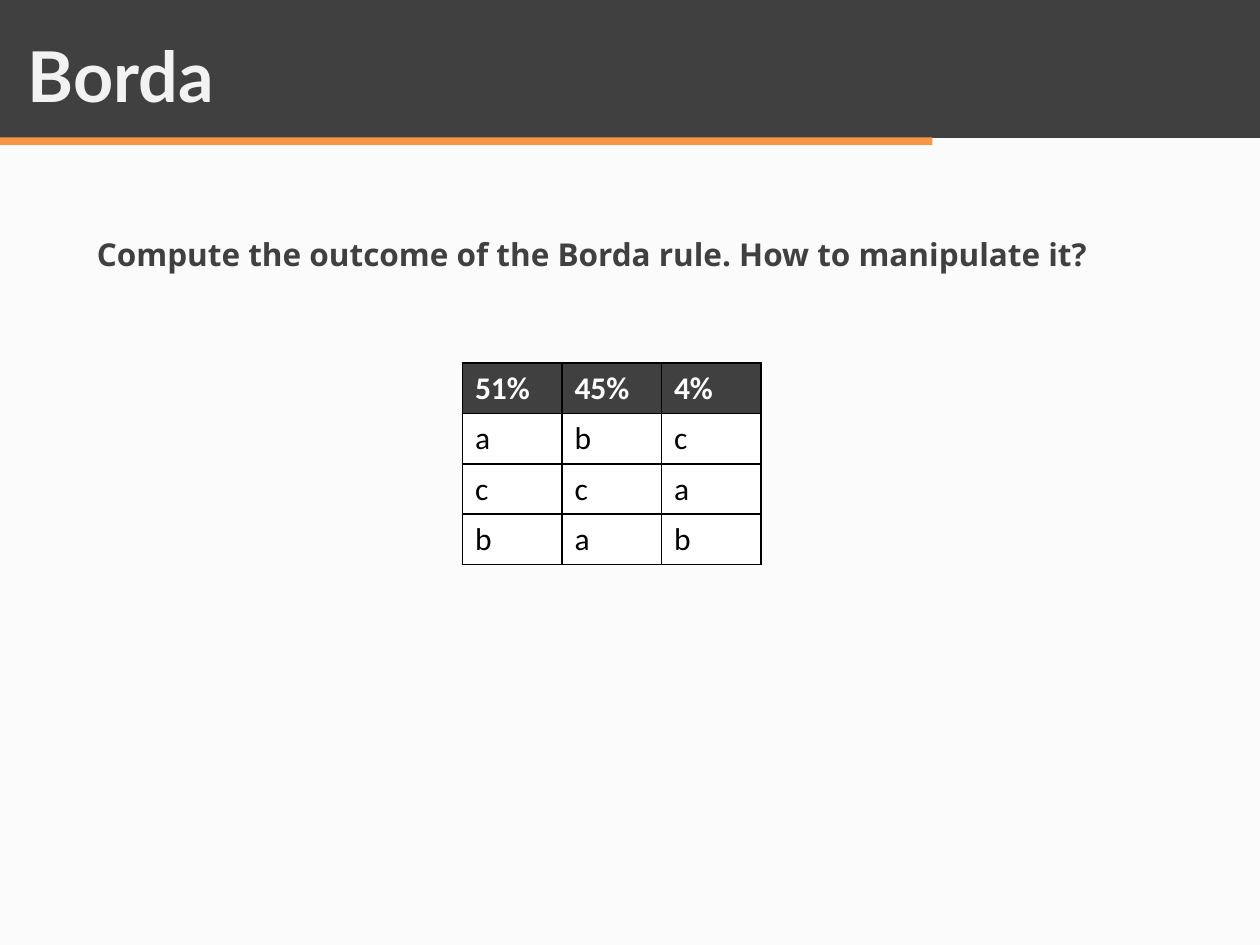
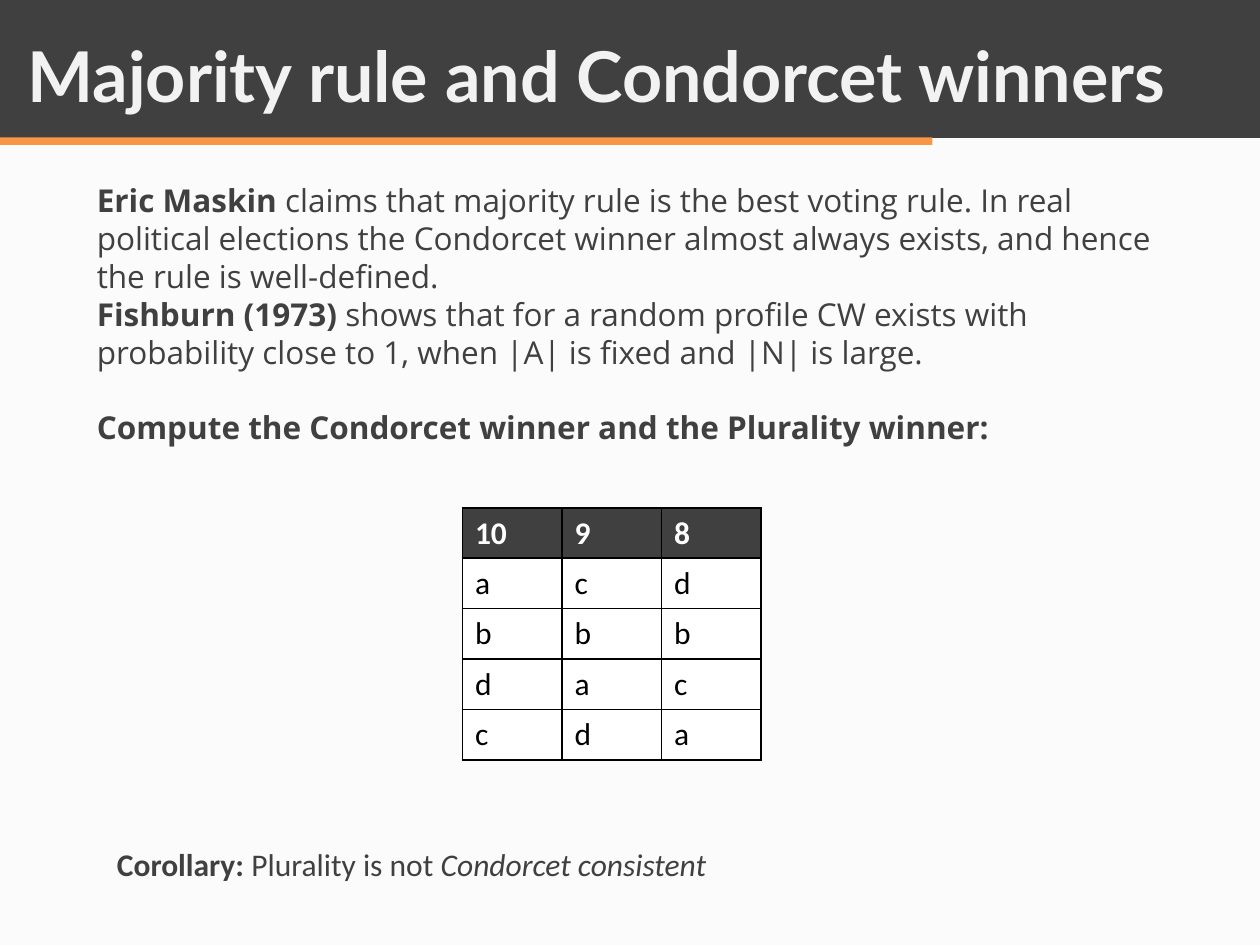
"""Two slides on voting rules, each with a preference profile table."""
from dataclasses import dataclass

from lxml.etree import SubElement
from pptx import Presentation
from pptx.dml.color import RGBColor
from pptx.enum.shapes import MSO_SHAPE
from pptx.oxml.ns import qn
from pptx.util import Inches, Pt

CHARCOAL = RGBColor(0x40, 0x40, 0x40)
ORANGE = RGBColor(0xF7, 0x96, 0x46)
PALE = RGBColor(0xF2, 0xF2, 0xF2)
PAPER = RGBColor(0xFB, 0xFB, 0xFB)
WHITE = RGBColor(0xFF, 0xFF, 0xFF)
BLACK = RGBColor(0, 0, 0)

TITLE_FONT, BODY_FONT, TABLE_FONT = "Lato", "Open Sans", "Calibri"
TITLE_SIZE, BODY_SIZE = Pt(40), Pt(18)
TABLE_LEFT, COLUMN_WIDTH, ROW_HEIGHT = 3.67, 0.79, 0.4
BLANK_LINE = Pt(21.6)


@dataclass
class Span:
    """A stretch of text in one style."""
    text: str
    bold: bool = False
    italic: bool = False


@dataclass
class Para:
    """A paragraph and the gap above it."""
    spans: list[Span]
    gap: Pt = Pt(0)


@dataclass
class TextBlock:
    """A text box: left, top, width and height in inches, and its content."""
    place: tuple[float, float, float, float]
    paras: list[Para]
    font: str = BODY_FONT
    size: Pt = BODY_SIZE
    color: RGBColor = CHARCOAL
    wrap: bool = True


@dataclass
class Profile:
    """Voter groups, each with its ranking from best to worst."""
    top: float
    rankings: dict[str, str]


def style_run(run, font: str, size: Pt, color: RGBColor, bold: bool, italic: bool = False) -> None:
    """Set the font of one run."""
    run.font.name, run.font.size = font, size
    run.font.bold, run.font.italic = bold, italic
    run.font.color.rgb = color


def add_text(page, block: TextBlock) -> None:
    """Draw a text box with its styled spans."""
    box = page.shapes.add_textbox(*map(Inches, block.place))
    frame = box.text_frame
    frame.word_wrap = block.wrap
    for index, para in enumerate(block.paras):
        paragraph = frame.add_paragraph() if index else frame.paragraphs[0]
        paragraph.space_before = para.gap
        for span in para.spans:
            run = paragraph.add_run()
            run.text = span.text
            style_run(run, block.font, block.size, block.color, span.bold, span.italic)


def add_band(page, top: float, width: float, height: float, color: RGBColor):
    """Draw a plain band from the left edge and return it."""
    band = page.shapes.add_shape(
        MSO_SHAPE.RECTANGLE, 0, Inches(top), Inches(width), Inches(height))
    band.shadow.inherit = False
    band.fill.solid()
    band.fill.fore_color.rgb = color
    band.line.fill.background()
    return band


def add_page(deck, title: str):
    """Add a slide with background, header bands and title."""
    page = deck.slides.add_slide(deck.slide_layouts[6])
    page.background.fill.solid()
    page.background.fill.fore_color.rgb = PAPER
    header = add_band(page, 0, 10, 1.08, CHARCOAL)
    header.line.color.rgb = CHARCOAL
    header.line.width = Pt(2)
    add_band(page, 1.09, 7.4, 0.06, ORANGE)
    add_text(page, TextBlock((0.12, 0.21, 9.53, 1.26), [Para([Span(title, bold=True)])],
                             TITLE_FONT, TITLE_SIZE, PALE))
    return page


def fill_cell(cell, text: str, is_header: bool) -> None:
    """Write one table cell with black borders and its fill."""
    cell.text_frame.text = text
    style_run(cell.text_frame.paragraphs[0].runs[0], TABLE_FONT, BODY_SIZE,
              WHITE if is_header else BLACK, is_header)
    properties = cell._tc.get_or_add_tcPr()
    for side in ("a:lnL", "a:lnR", "a:lnT", "a:lnB"):
        line = SubElement(properties, qn(side), w=str(Pt(1)))
        solid = SubElement(line, qn("a:solidFill"))
        SubElement(solid, qn("a:srgbClr"), val=str(BLACK))
    cell.fill.solid()
    cell.fill.fore_color.rgb = CHARCOAL if is_header else WHITE


def add_profile(page, profile: Profile) -> None:
    """Draw a profile with one column per voter group."""
    columns = [[group, *ranking] for group, ranking in profile.rankings.items()]
    rows = len(columns[0])
    table = page.shapes.add_table(
        rows, len(columns), Inches(TABLE_LEFT), Inches(profile.top),
        Inches(COLUMN_WIDTH * len(columns)), Inches(ROW_HEIGHT * rows)).table
    for row in table.rows:
        row.height = Inches(ROW_HEIGHT)
    for column_index, column in enumerate(columns):
        table.columns[column_index].width = Inches(COLUMN_WIDTH)
        for row_index, text in enumerate(column):
            fill_cell(table.cell(row_index, column_index), text, row_index == 0)


def build_borda(deck) -> None:
    """Build the slide on the Borda rule."""
    page = add_page(deck, "Borda")
    question = Span("Compute the outcome of the Borda rule. How to manipulate it?", bold=True)
    add_text(page, TextBlock((0.67, 1.82, 8.11, 0.4), [Para([question])]))
    add_profile(page, Profile(2.88, {"51%": "acb", "45%": "bca", "4%": "cab"}))


def build_majority(deck) -> None:
    """Build the slide on majority rule and Condorcet winners."""
    page = add_page(deck, "Majority rule and Condorcet winners")
    add_text(page, TextBlock((0.67, 1.39, 8.74, 2.52), [
        Para([Span("Eric Maskin ", bold=True),
              Span("claims that majority rule is the best voting rule. In real political "
                   "elections the Condorcet winner almost always exists, and hence the "
                   "rule is well-defined.")]),
        Para([Span("Fishburn (1973) ", bold=True),
              Span("shows that for a random profile CW exists with probability close "
                   "to 1, when |A| is fixed and |N| is large.")]),
        Para([Span("Compute the Condorcet winner and the Plurality winner:", bold=True)],
             BLANK_LINE),
    ]))
    add_profile(page, Profile(4.03, {"10": "abdc", "9": "cbad", "8": "dbca"}))
    corollary = Para([Span("Corollary: ", bold=True), Span("Plurality is not "),
                      Span("Condorcet consistent", italic=True)])
    add_text(page, TextBlock((0.83, 6.66, 5.04, 0.4), [corollary], TABLE_FONT, wrap=False))


def main() -> None:
    """Build and save the deck."""
    deck = Presentation()
    deck.slide_width, deck.slide_height = Inches(10), Inches(7.5)
    build_borda(deck)
    build_majority(deck)
    deck.save("out.pptx")


main()
